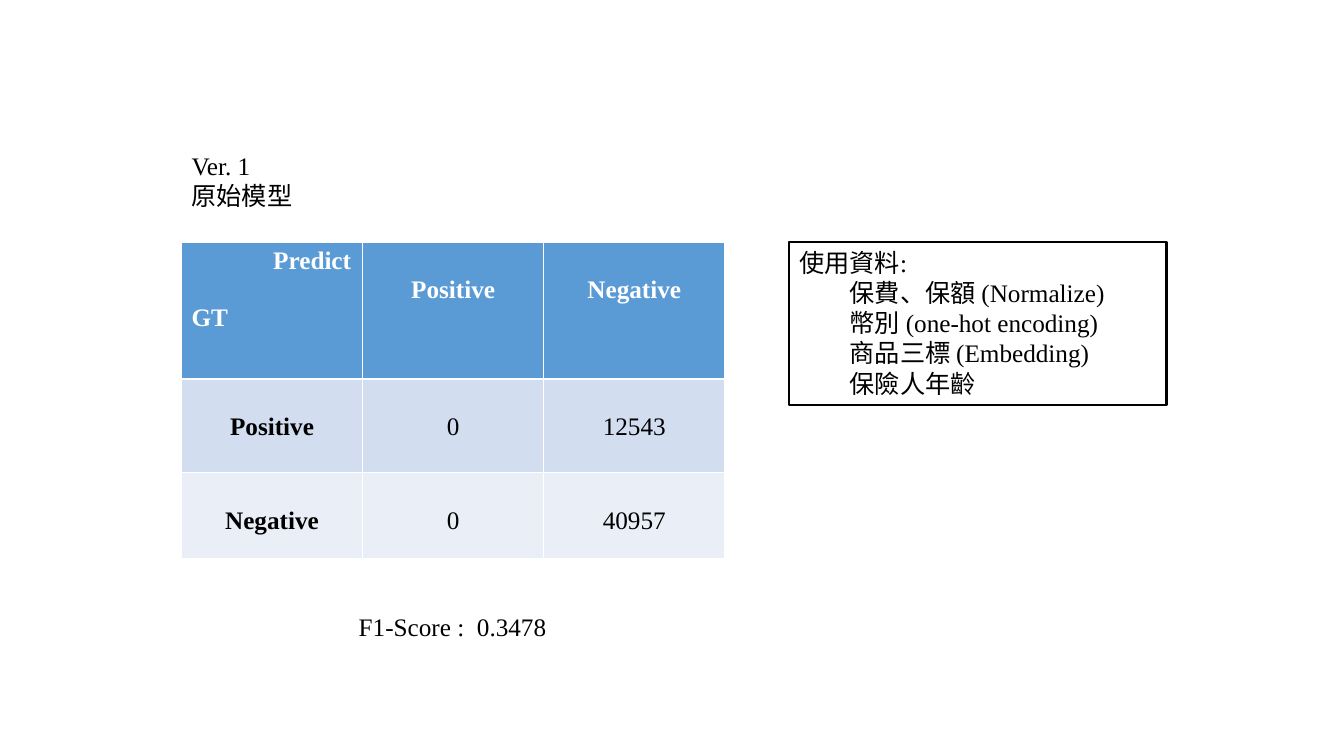
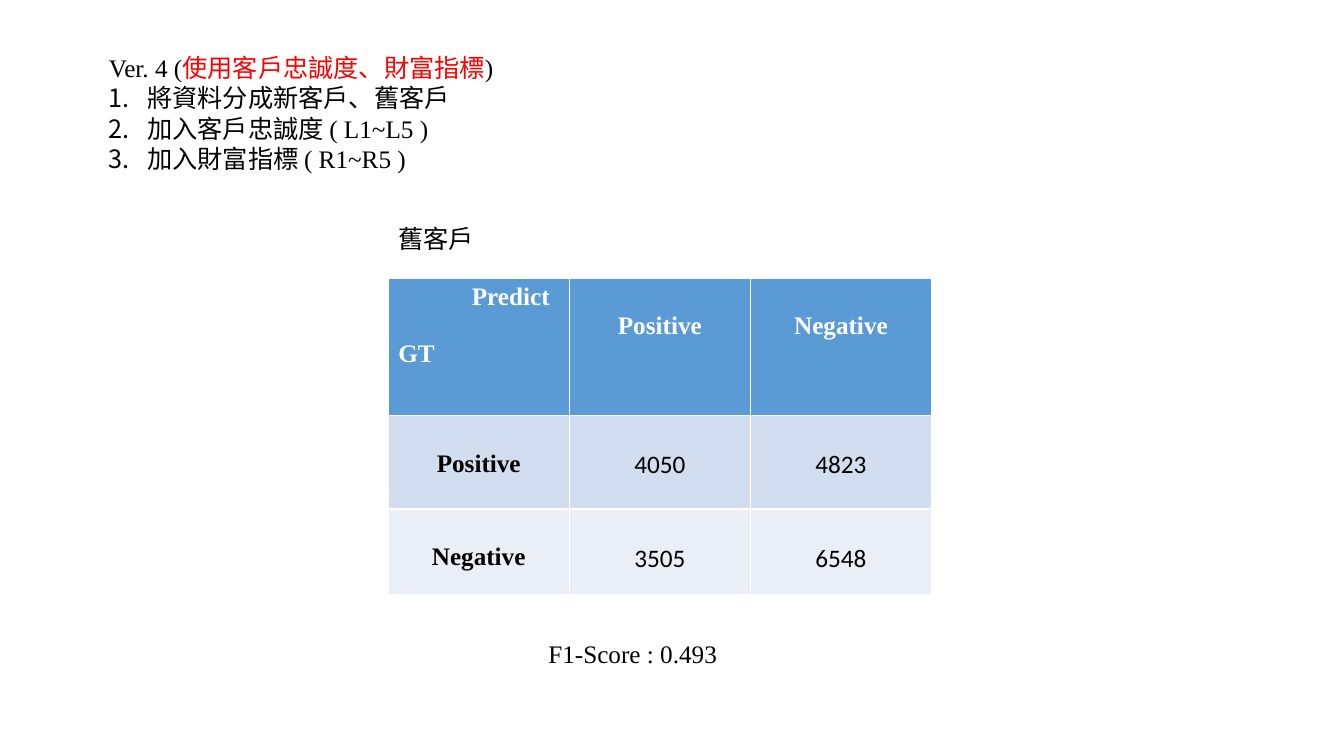
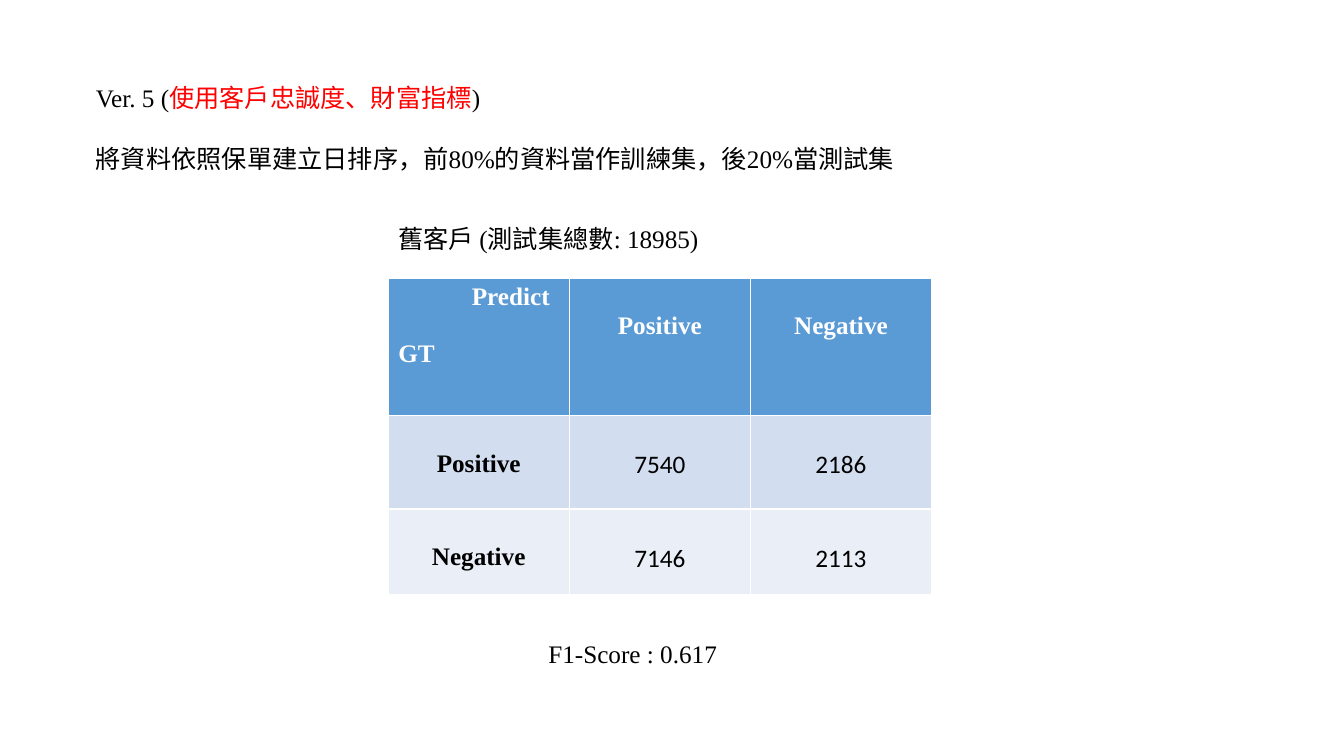
import pptx
import pptx.dml.color
import pptx.enum.shapes
import pptx.enum.text
import pptx.oxml
import pptx.oxml.ns
import pptx.util

Inches, Pt = pptx.util.Inches, pptx.util.Pt
PP_ALIGN = pptx.enum.text.PP_ALIGN
MSO_ANCHOR = pptx.enum.text.MSO_ANCHOR

COLORS = {"text": "000000", "accent": "FF0000", "white": "FFFFFF",
          "header": "5B9BD5", "band1": "D2DEEF", "band2": "EAEFF7"}
SERIF, SANS, CJK = "Times New Roman", "Calibri", "Noto Sans CJK SC"
LINE = 0.29  # height of one 18 pt line in inches


def rgb(name):
    """Return the named colour."""
    return pptx.dml.color.RGBColor.from_string(COLORS[name])


class Deck:
    """Holds the presentation, its style and the current slide."""

    def __init__(self):
        """Start an empty widescreen presentation."""
        self.prs = pptx.Presentation()
        self.prs.slide_width, self.prs.slide_height = Inches(13.33), Inches(7.5)
        self.s = None

    def slide(self):
        """Add a slide with a title and a body."""
        self.s = self.prs.slides.add_slide(self.prs.slide_layouts[1])

    def style(self, p, font=SERIF, color="text", bold=False, align=PP_ALIGN.LEFT):
        """Format a paragraph and all of its runs."""
        p.alignment, p.space_before = align, Pt(0)
        for r in p.runs:
            r.font.name, r.font.size, r.font.bold = font, Pt(18), bold
            r.font.color.rgb = rgb(color)

    def indent(self, p, left, first=0, bullet="buNone"):
        """Set the indents and the bullet kind of a paragraph."""
        pPr = p._p.get_or_add_pPr()
        pPr.set("marL", str(Inches(left)))
        pPr.set("indent", str(Inches(first)))
        bu = pptx.oxml.parse_xml(f"<a:{bullet} {pptx.oxml.ns.nsdecls('a')}/>")
        if bullet == "buAutoNum":
            bu.set("type", "arabicPeriod")
        pPr.append(bu)

    def fill_text(self, tf, lines, font=SERIF):
        """Write lines into a top-anchored, wrapping text frame."""
        tf.text = "\n".join(lines)
        tf.word_wrap, tf.vertical_anchor = True, MSO_ANCHOR.TOP
        tf.auto_size = pptx.enum.text.MSO_AUTO_SIZE.NONE
        for p in tf.paragraphs:
            self.style(p, font)

    def place(self, sp, x, y, w, h):
        """Move and size a shape."""
        sp.left, sp.top, sp.width, sp.height = map(Inches, (x, y, w, h))

    def title(self, x, y, w, version, topic=None):
        """Fill the title with a version and an optional accented topic."""
        sp = self.s.shapes.title
        self.place(sp, x, y, w, 0.35)
        self.fill_text(sp.text_frame, [version])
        if topic:
            p = sp.text_frame.paragraphs[0]
            for text in (topic, ")"):
                p.add_run().text = text
            self.style(p)
            p.runs[1].font.color.rgb = rgb("accent")

    def body(self, x, y, w, lines, numbered=False, font=SERIF):
        """Fill the body with plain or numbered lines."""
        sp = self.s.placeholders[1]
        self.place(sp, x, y, w, 0.1 + 0.3 * len(lines))
        self.fill_text(sp.text_frame, lines, font)
        sp.text_frame.margin_top = 0
        for p in sp.text_frame.paragraphs:
            if numbered:
                self.indent(p, 0.38, -0.38, "buAutoNum")
            else:
                self.indent(p, 0)

    def label(self, x, y, w, h, text, font=SERIF):
        """Add a one-line text box."""
        sp = self.s.shapes.add_textbox(*map(Inches, (x, y, w, h)))
        self.fill_text(sp.text_frame, [text], font)

    def data_box(self, x, y, w, h, heading, items):
        """Add an outlined box with a heading and indented items."""
        sp = self.s.shapes.add_shape(pptx.enum.shapes.MSO_SHAPE.RECTANGLE,
                                     *map(Inches, (x, y, w, h)))
        sp.shadow.inherit = False
        sp.fill.background()
        sp.line.color.rgb, sp.line.width = rgb("text"), Pt(1.5)
        self.fill_text(sp.text_frame, [heading] + items)
        for p in sp.text_frame.paragraphs[1:]:
            self.indent(p, 0.5)

    def confusion(self, x, y, counts, font=SANS, corner_indent=0.73):
        """Add a confusion matrix of ground truth against prediction."""
        names = ["Positive", "Negative"]
        rows = [["Predict\nGT"] + names] + [[n] + c for n, c in zip(names, counts)]
        table = self.s.shapes.add_table(
            3, 3, *map(Inches, (x, y, 5.39, 3.14))).table
        for row, height in zip(table.rows, (1.36, 0.93, 0.85)):
            row.height = Inches(height)
        for i, (values, band) in enumerate(zip(rows, ("header", "band1", "band2"))):
            for j, value in enumerate(values):
                cell = table.cell(i, j)
                cell.fill.solid()
                cell.fill.fore_color.rgb = rgb(band)
                cell.text = str(value)
                head = i == 0 or j == 0
                corner = i == j == 0
                cell.margin_top = Inches(0.05 if corner else 0.05 + LINE)
                for p in cell.text_frame.paragraphs:
                    self.style(p, SERIF if head else font,
                               "text" if i else "white", head,
                               PP_ALIGN.LEFT if corner else PP_ALIGN.CENTER)
        predict, truth = table.cell(0, 0).text_frame.paragraphs
        self.indent(predict, corner_indent)
        truth.space_before = Inches(LINE)


TOPIC = "使用客戶忠誠度、財富指標"
deck = Deck()

deck.slide()
deck.title(1.8, 1.44, 6.03, "Ver. 1")
deck.body(1.8, 1.79, 6.03, ["原始模型"], font=CJK)
deck.confusion(1.8, 2.4, [[0, 12543], [0, 40957]], SERIF, 0.81)
deck.label(3.46, 6.02, 2.4, 1.01, "F1-Score :  0.3478")
deck.data_box(7.83, 2.4, 3.74, 1.62, "使用資料:",
              ["保費、保額 (Normalize)", "幣別 (one-hot encoding)",
               "商品三標 (Embedding)", "保險人年齡"])

deck.slide()
deck.title(0.98, 0.47, 4.3, "Ver. 4 (", TOPIC)
deck.body(0.98, 0.82, 4.3, ["將資料分成新客戶、舊客戶", "加入客戶忠誠度 ( L1~L5 )",
                            "加入財富指標 ( R1~R5 )"], numbered=True)
deck.confusion(3.85, 2.76, [[4050, 4823], [3505, 6548]])
deck.label(3.85, 2.17, 1.88, 0.4, "舊客戶", CJK)
deck.label(5.34, 6.28, 2.4, 1.01, "F1-Score : 0.493")

deck.slide()
deck.title(0.85, 0.77, 8.52, "Ver. 5 (", TOPIC)
deck.body(0.85, 1.42, 8.52, ["將資料依照保單建立日排序，前80%的資料當作訓練集，後20%當測試集"])
deck.confusion(3.85, 2.76, [[7540, 2186], [7146, 2113]])
deck.label(3.85, 2.17, 4.08, 0.4, "舊客戶 (測試集總數: 18985)")
deck.label(5.34, 6.28, 2.4, 1.01, "F1-Score : 0.617")

deck.prs.save("out.pptx")
